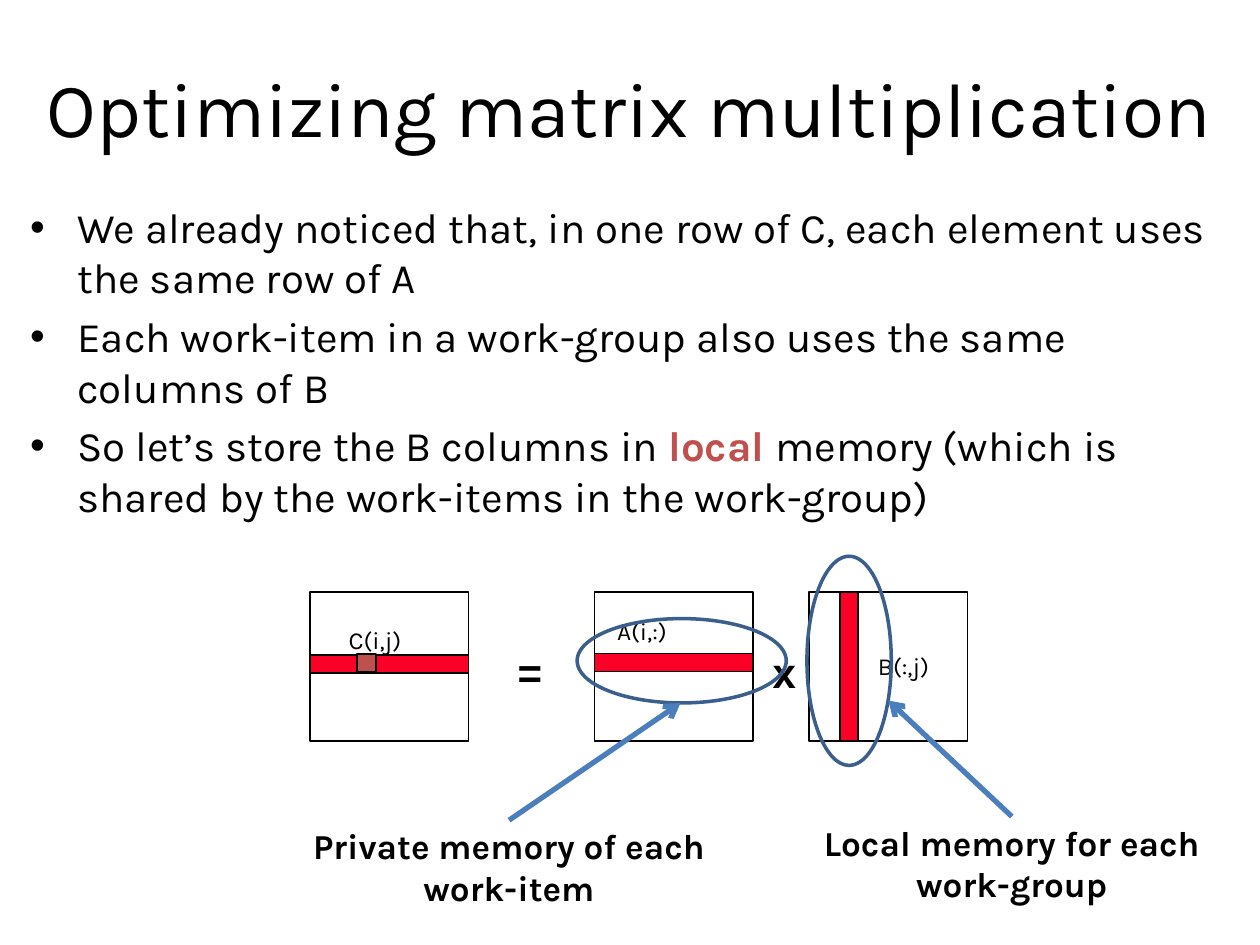
"""Build the slide on optimizing matrix multiplication with local memory."""
import pptx
import pptx.dml.color
import pptx.enum.shapes
import pptx.enum.text
import pptx.oxml
import pptx.oxml.ns
import pptx.util

Pt = pptx.util.Pt
SHAPES = pptx.enum.shapes.MSO_SHAPE
ALIGN = pptx.enum.text.PP_ALIGN
ANCHOR = pptx.enum.text.MSO_ANCHOR
COLORS = {
    "text": "000000",
    "band": "FC0128",
    "accent": "C0504D",
    "ring": "3A5F8C",
    "arrow": "4B7EBC",
}
BULLETS = [
    [("We already noticed that, in one row of C, each element uses the same row of A", False)],
    [("Each work-item in a work-group also uses the same columns of B", False)],
    [
        ("So let’s store the B columns in ", False),
        ("local ", True),
        ("memory (which is shared by the work-items in the work-group)", False),
    ],
]
MATRIX_TOP, MATRIX_WIDTH, MATRIX_HEIGHT = 338.4, 90.7, 85
C_LEFT, A_LEFT, B_LEFT = 177.1, 339.8, 462.2
BAND = 10.3


def rgb(name):
    """Return the named palette colour."""
    return pptx.dml.color.RGBColor.from_string(COLORS[name])


def xml_element(tag, **attributes):
    """Return a DrawingML element with the given attributes."""
    element = pptx.oxml.parse_xml(f"<a:{tag} {pptx.oxml.ns.nsdecls('a')}/>")
    for key, value in attributes.items():
        element.set(key, value)
    return element


def add_run(paragraph, text, size, bold=False, font="Karla", color="text"):
    """Append a formatted run to a paragraph."""
    run = paragraph.add_run()
    run.text = text
    run.font.name = font
    run.font.size = Pt(size)
    run.font.bold = bold
    run.font.color.rgb = rgb(color)


def add_box(slide, left, top, width, height, anchor=ANCHOR.TOP):
    """Add an empty wrapping text box."""
    box = slide.shapes.add_textbox(Pt(left), Pt(top), Pt(width), Pt(height))
    box.text_frame.word_wrap = True
    box.text_frame.vertical_anchor = anchor
    return box


def add_label(slide, text, bounds, size, align=ALIGN.LEFT, anchor=ANCHOR.TOP, **style):
    """Add a text box holding a single run."""
    box = add_box(slide, *bounds, anchor=anchor)
    paragraph = box.text_frame.paragraphs[0]
    paragraph.alignment = align
    add_run(paragraph, text, size, **style)
    return box


def add_bullets(slide, bounds, items):
    """Add a bulleted list with emphasized runs."""
    frame = add_box(slide, *bounds).text_frame
    for index, runs in enumerate(items):
        paragraph = frame.paragraphs[0] if index == 0 else frame.add_paragraph()
        properties = paragraph._p.get_or_add_pPr()
        properties.set("marL", str(Pt(27)))
        properties.set("indent", str(-Pt(27)))
        properties.append(xml_element("buFont", typeface="Arial"))
        properties.append(xml_element("buChar", char="•"))
        if index:
            paragraph.space_before = Pt(4.8)
        for text, emphasized in runs:
            add_run(paragraph, text, 24, emphasized, color="accent" if emphasized else "text")


def add_outline(slide, kind, bounds, fill=None, line="text", weight=1):
    """Add a preset shape, unfilled unless a fill is named."""
    shape = slide.shapes.add_shape(kind, *(Pt(value) for value in bounds))
    shape.shadow.inherit = False
    if fill:
        shape.fill.solid()
        shape.fill.fore_color.rgb = rgb(fill)
    else:
        shape.fill.background()
    shape.line.color.rgb = rgb(line)
    shape.line.width = Pt(weight)
    return shape


def add_matrix(slide, left):
    """Add the square outline of one matrix."""
    add_outline(slide, SHAPES.RECTANGLE, (left, MATRIX_TOP, MATRIX_WIDTH, MATRIX_HEIGHT))


def add_row(slide, left, top):
    """Add a highlighted row across a matrix."""
    add_outline(slide, SHAPES.RECTANGLE, (left, top, MATRIX_WIDTH, BAND), "band")


def add_ring(slide, left):
    """Add an ellipse that circles a highlighted band."""
    return add_outline(slide, SHAPES.OVAL, (left, 353.5, 119.5, 48.2), line="ring", weight=2)


def add_arrow(slide, caption, tip):
    """Add an arrow from the top of a caption to a tip."""
    start = caption.left + caption.width // 2, caption.top
    connector = slide.shapes.add_connector(
        pptx.enum.shapes.MSO_CONNECTOR.STRAIGHT, *start, *(Pt(value) for value in tip)
    )
    connector.begin_connect(caption, 0)
    connector.line.color.rgb = rgb("arrow")
    connector.line.width = Pt(3)
    connector.line._get_or_add_ln().append(xml_element("tailEnd", type="arrow"))
    connector._element.spPr.append(xml_element("effectLst"))


def add_caption(slide, text, left, top):
    """Add a bold centred caption."""
    caption = add_label(slide, text, (left, top, 259.2, 55.4), 20, ALIGN.CENTER, bold=True)
    caption.text_frame.paragraphs[0].line_spacing = 0.99
    return caption


def main():
    """Build and save the slide."""
    presentation = pptx.Presentation()
    presentation.slide_width, presentation.slide_height = Pt(720), Pt(540)
    slide = presentation.slides.add_slide(presentation.slide_layouts[6])

    add_label(slide, "Optimizing matrix multiplication", (8.6, 15.8, 702.7, 90), 44,
              ALIGN.CENTER, ANCHOR.MIDDLE)
    add_bullets(slide, (10.1, 111.6, 697.7, 193), BULLETS)

    for left in (C_LEFT, A_LEFT, B_LEFT):
        add_matrix(slide, left)
    for text, left, width in (("=", 288.7, 42.5), ("x", 435.6, 13)):
        add_label(slide, text, (left, 365.8, width, 36), 24, bold=True, font="Arial")
    add_row(slide, A_LEFT, 373.5)
    add_outline(slide, SHAPES.RECTANGLE, (480.2, MATRIX_TOP, BAND, MATRIX_HEIGHT), "band")
    for text, left, top in (("A(i,:)", 345.6, 348.5), ("B(:,j)", 494.6, 368.6),
                            ("C(i,j)", 192.2, 353.5)):
        add_label(slide, text, (left, top, 53.3, 24.5), 14)
    add_row(slide, C_LEFT, 374.2)
    add_outline(slide, SHAPES.RECTANGLE, (204.2, 373.7, 10.8, BAND), "accent")

    private = add_caption(slide, "Private memory of each work-item", 161.3, 468.7)
    add_ring(slide, 329.8)
    add_arrow(slide, private, (388.8, 401.8))
    local = add_caption(slide, "Local memory for each work-group", 448.6, 466.6)
    add_ring(slide, 425.5).rotation = 270
    add_arrow(slide, local, (507.6, 400.3))

    presentation.save("out.pptx")


if __name__ == "__main__":
    main()
